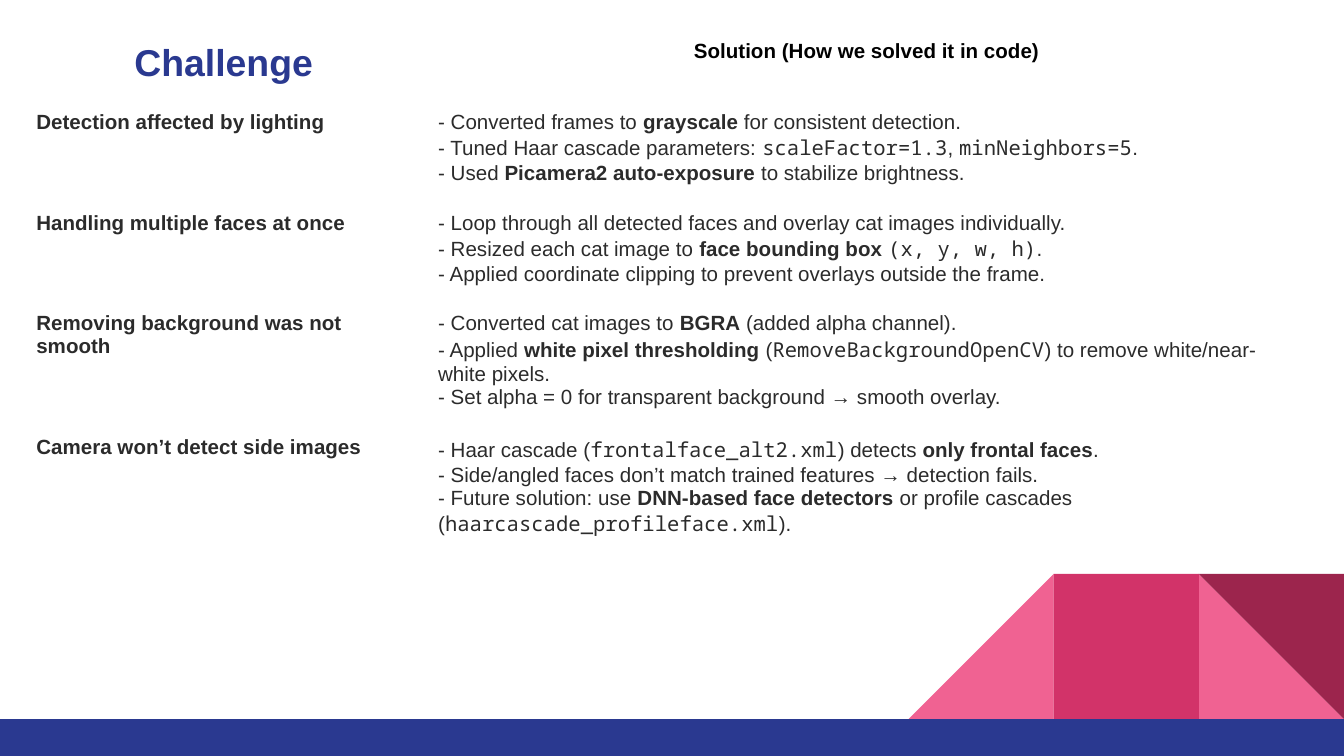
from dataclasses import dataclass

import pptx
import pptx.dml.color
import pptx.enum.shapes
import pptx.enum.text
import pptx.util

Inches = pptx.util.Inches
SHAPES = pptx.enum.shapes.MSO_SHAPE
BODY_FONT = "Arial"
CODE_FONT = "Noto Sans Mono"
NAVY = "2A3990"
PINK = "F06292"
INK = "2B2B2B"
TILE = 1.08
TILE_TOP = 4.27
BAND_TOP = TILE_TOP + TILE
PAGE_WIDTH = 10
PAGE_HEIGHT = 5.625


@dataclass(frozen=True)
class Span:
    text: str
    bold: bool = False
    font: str = BODY_FONT


@dataclass(frozen=True)
class Tile:
    kind: int
    left: float
    top: float
    width: float
    height: float
    fill: str
    rotation: float = 0


@dataclass(frozen=True)
class Issue:
    challenge: str
    solution: list[list[Span]]


def plain(text: str) -> Span:
    return Span(text)


def bold(text: str) -> Span:
    return Span(text, bold=True)


def code(text: str) -> Span:
    return Span(text, font=CODE_FONT)


def color(value: str) -> pptx.dml.color.RGBColor:
    return pptx.dml.color.RGBColor.from_string(value)


def add_text(para, text: str, *, size: float = 11, fill: str = INK,
             bold: bool = False, font: str = BODY_FONT) -> None:
    span = para.add_run()
    span.text = text
    span.font.size = pptx.util.Pt(size)
    span.font.color.rgb = color(fill)
    span.font.bold = bold
    span.font.name = font


def draw_tile(page, tile: Tile) -> None:
    shape = page.shapes.add_shape(
        tile.kind, Inches(tile.left), Inches(tile.top),
        Inches(tile.width), Inches(tile.height))
    shape.rotation = tile.rotation
    shape.shadow.inherit = False
    shape.fill.solid()
    shape.fill.fore_color.rgb = color(tile.fill)
    shape.line.fill.background()


def write_heading(cell, text: str, size: float, fill: str) -> None:
    para = cell.text_frame.paragraphs[0]
    para.alignment = pptx.enum.text.PP_ALIGN.CENTER
    para.line_spacing = 1.15
    add_text(para, text, size=size, fill=fill, bold=True)


def write_lines(cell, lines: list[list[Span]]) -> None:
    frame = cell.text_frame
    for number, line in enumerate(lines):
        para = frame.add_paragraph() if number else frame.paragraphs[0]
        for span in line:
            add_text(para, span.text, bold=span.bold, font=span.font)


def draw_table(page, issues: list[Issue]) -> None:
    widths = [2.99, 6.58]
    heights = [0.53, 0.69, 0.69, 0.86, 0.86]
    table = page.shapes.add_table(
        len(heights), len(widths), Inches(0.17), Inches(0.17),
        Inches(sum(widths)), Inches(sum(heights))).table
    table.first_row = False
    table.horz_banding = False
    for column, width in zip(table.columns, widths):
        column.width = Inches(width)
    for row, height in zip(table.rows, heights):
        row.height = Inches(height)
    for cell in table.iter_cells():
        cell.fill.background()
        cell.margin_left = cell.margin_right = Inches(0.1)
        cell.margin_top = cell.margin_bottom = Inches(0.1)
    write_heading(table.cell(0, 0), "Challenge", 20, NAVY)
    write_heading(table.cell(0, 1), "Solution (How we solved it in code)", 11, "000000")
    for row, issue in enumerate(issues, start=1):
        write_lines(table.cell(row, 0), [[bold(issue.challenge)]])
        write_lines(table.cell(row, 1), issue.solution)


def tile_left(places_from_right: int) -> float:
    return PAGE_WIDTH - places_from_right * TILE


TILES = [
    Tile(SHAPES.RIGHT_TRIANGLE, tile_left(1), TILE_TOP, TILE, TILE, PINK),
    Tile(SHAPES.RIGHT_TRIANGLE, tile_left(3), TILE_TOP, TILE, TILE, PINK, 270),
    Tile(SHAPES.RECTANGLE, tile_left(2), TILE_TOP, TILE, TILE, "D23369"),
    Tile(SHAPES.RIGHT_TRIANGLE, tile_left(1), TILE_TOP, TILE, TILE, "9C254D", 180),
    Tile(SHAPES.RECTANGLE, 0, BAND_TOP, PAGE_WIDTH, PAGE_HEIGHT - BAND_TOP, NAVY),
]

ISSUES = [
    Issue("Detection affected by lighting", [
        [plain("- Converted frames to "), bold("grayscale"),
         plain(" for consistent detection.")],
        [plain("- Tuned Haar cascade parameters: "), code("scaleFactor=1.3"),
         plain(", "), code("minNeighbors=5"), plain(".")],
        [plain("- Used "), bold("Picamera2 auto-exposure"),
         plain(" to stabilize brightness.")],
    ]),
    Issue("Handling multiple faces at once", [
        [plain("- Loop through all detected faces and overlay cat images individually.")],
        [plain("- Resized each cat image to "), bold("face bounding box "),
         code("(x, y, w, h)"), plain(".")],
        [plain("- Applied coordinate clipping to prevent overlays outside the frame.")],
    ]),
    Issue("Removing background was not smooth", [
        [plain("- Converted cat images to "), bold("BGRA"),
         plain(" (added alpha channel).")],
        [plain("- Applied "), bold("white pixel thresholding"), plain(" ("),
         code("RemoveBackgroundOpenCV"), plain(") to remove white/near-white pixels.")],
        [plain("- Set alpha = 0 for transparent background → smooth overlay.")],
    ]),
    Issue("Camera won’t detect side images", [
        [plain("- Haar cascade ("), code("frontalface_alt2.xml"),
         plain(") detects "), bold("only frontal faces"), plain(".")],
        [plain("- Side/angled faces don’t match trained features → detection fails.")],
        [plain("- Future solution: use "), bold("DNN-based face detectors"),
         plain(" or profile cascades ("), code("haarcascade_profileface.xml"),
         plain(").")],
    ]),
]


def main() -> None:
    deck = pptx.Presentation()
    deck.slide_width = Inches(PAGE_WIDTH)
    deck.slide_height = Inches(PAGE_HEIGHT)
    page = deck.slides.add_slide(deck.slide_layouts[6])
    for tile in TILES:
        draw_tile(page, tile)
    draw_table(page, ISSUES)
    deck.save("out.pptx")


if __name__ == "__main__":
    main()
